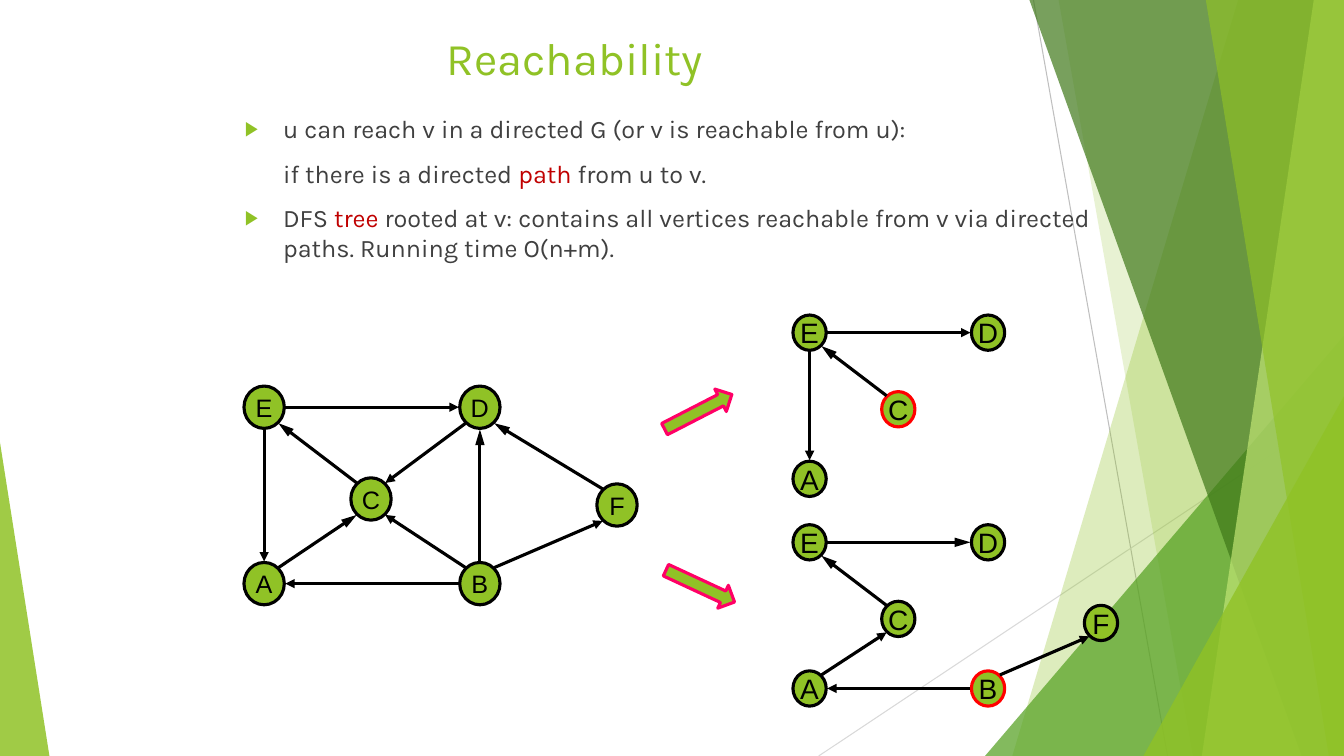
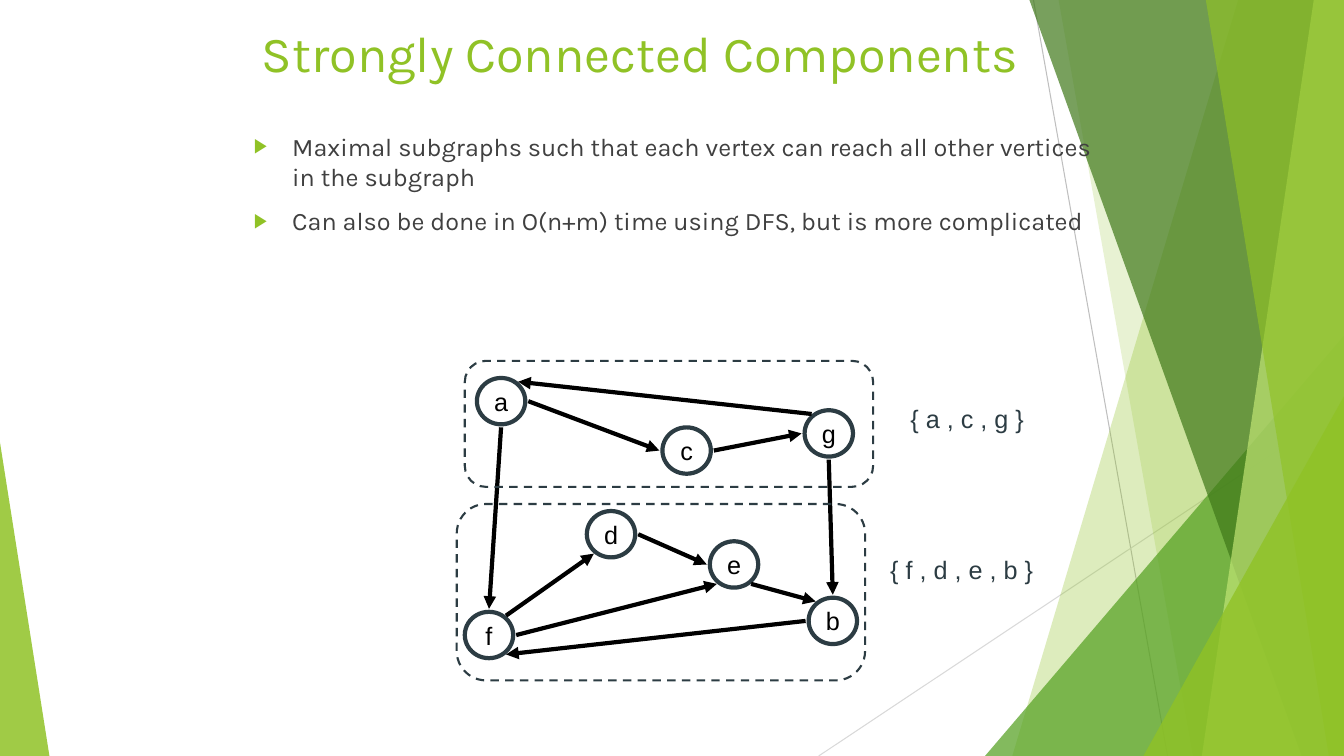
from itertools import chain

from lxml import etree
from pptx import Presentation
from pptx.dml.color import RGBColor
from pptx.enum.dml import MSO_LINE as Dash
from pptx.enum.shapes import MSO_CONNECTOR as Link, MSO_SHAPE as Preset
from pptx.enum.text import MSO_ANCHOR as Anchor, PP_ALIGN as Align
from pptx.oxml.ns import qn
from pptx.util import Emu, Pt

# Shared measures, colours and fonts
PX = 9144  # 100 px to the inch
WIDTH, HEIGHT = 1333, 750
GREEN, MID_GREEN, DARK_GREEN, PALE_GREEN = "90C226", "54A021", "3F7819", "C0E474"
BLACK, WHITE, SLATE, BODY_GREY = "000000", "FFFFFF", "2C3C43", "404040"
RED, TERM_RED, PINK = "FF0000", "C00000", "FF0066"
HEADING_FONT, LABEL_FONT = "Karla", "Arial"
BULLET, MARK = "▶", "*"
HANG = 38
DIAGONAL = 0.707


def px(length):
    return Emu(round(length * PX))


def rgb(color):
    return RGBColor.from_string(color)


def add_child(parent, tag, **attributes):
    return etree.SubElement(parent, qn(tag), attributes)


# Text
def set_bullet(para, shown):
    properties = para._p.get_or_add_pPr()
    properties.set("marL", str(px(HANG)))
    properties.set("indent", str(-px(HANG) if shown else 0))
    if shown:
        add_child(add_child(properties, "a:buClr"), "a:srgbClr", val=GREEN)
        add_child(properties, "a:buSzPct", val="80000")
        add_child(properties, "a:buFont", typeface=LABEL_FONT)
        add_child(properties, "a:buChar", char=BULLET)
    else:
        add_child(properties, "a:buNone")


def write_text(shape, text, size=18, font=LABEL_FONT, color=BLACK,
               align=Align.LEFT, anchor=Anchor.TOP, wrap=False,
               inset=None, listed=False):
    """Write one paragraph a line; words between marks turn red."""
    frame = shape.text_frame
    frame.word_wrap = wrap
    frame.vertical_anchor = anchor
    if inset is not None:
        frame.margin_left = frame.margin_right = px(inset)
        frame.margin_top = frame.margin_bottom = px(inset)
    for number, line in enumerate(text.split("\n")):
        para = frame.add_paragraph() if number else frame.paragraphs[0]
        para.alignment = align
        if listed:
            set_bullet(para, line.startswith(BULLET))
            line = line.removeprefix(BULLET)
        if number:
            para.space_before = Pt(10)
        for part, words in enumerate(line.split(MARK)):
            span = para.add_run()
            span.text = words
            span.font.size = Pt(size)
            span.font.name = font
            span.font.color.rgb = rgb(TERM_RED if part % 2 else color)


def add_text(page, area, text, **style):
    box = page.shapes.add_textbox(*map(px, area))
    write_text(box, text, **style)


def add_title(page, area, text, size):
    add_text(page, area, text, size=size, font=HEADING_FONT, color=GREEN, wrap=True)


def add_body(page, area, *lines):
    add_text(page, area, "\n".join(lines), font=HEADING_FONT,
             color=BODY_GREY, wrap=True, listed=True)


# Shapes and lines
def paint(shape, fill=None, line=None, weight=1, alpha=None):
    shape.shadow.inherit = False
    if fill:
        shape.fill.solid()
        shape.fill.fore_color.rgb = rgb(fill)
        if alpha:
            tint = next(shape.element.iter(qn("a:srgbClr")))
            add_child(tint, "a:alpha", val=str(alpha * 1000))
    else:
        shape.fill.background()
    if line:
        shape.line.color.rgb = rgb(line)
        shape.line.width = Pt(weight)
    else:
        shape.line.fill.background()


def add_preset(page, preset, area, **look):
    shape = page.shapes.add_shape(preset, *map(px, area))
    paint(shape, **look)
    return shape


def add_line(page, start, end, color=BLACK, weight=1, arrow=None):
    line = page.shapes.add_connector(Link.STRAIGHT, *map(px, chain(start, end)))
    line.line.color.rgb = rgb(color)
    line.line.width = Pt(weight)
    if arrow:
        outline = line.line._get_or_add_ln()
        add_child(outline, "a:tailEnd", type="triangle", len=arrow)
    add_child(line.element.spPr, "a:effectLst")


# Graphs
def edge_end(center, size, site, gap):
    """Point just outside a vertex at a compass site such as n or se."""
    x = ("e" in site) - ("w" in site)
    y = ("s" in site) - ("n" in site)
    reach = DIAGONAL if x and y else 1
    return (center[0] + x * (size[0] / 2 * reach + (0 if y else gap)),
            center[1] + y * (size[1] / 2 * reach + gap))


def add_graph(page, centers, edges, size, root=None, fill=GREEN, line=BLACK,
              weight=2.25, font_size=18, gap=1):
    """Edges read like "Ee Dw": from E's east side to D's west side."""
    for name, (x, y) in centers.items():
        area = (x - size[0] / 2, y - size[1] / 2, *size)
        vertex = add_preset(page, Preset.OVAL, area, fill=fill,
                            line=RED if name == root else line, weight=weight)
        write_text(vertex, name, size=font_size, align=Align.CENTER,
                   anchor=Anchor.MIDDLE, inset=0)
    for edge in edges:
        source, target, *arrow = edge.split()
        start, end = (edge_end(centers[mark[0]], size, mark[1:], gap)
                      for mark in (source, target))
        add_line(page, start, end, weight=weight, arrow=arrow[0] if arrow else "med")


# Background shared through the layout
def add_facet(page, top_x, bottom_x, fill, alpha):
    builder = page.shapes.build_freeform(top_x, 0, PX)
    builder.add_line_segments([(WIDTH, 0), (WIDTH, HEIGHT), (bottom_x, HEIGHT)])
    paint(builder.convert_to_shape(), fill=fill, alpha=alpha)


def add_triangle(page, left, top, width, apex, fill, alpha):
    shape = add_preset(page, Preset.ISOSCELES_TRIANGLE,
                       (left, top, width, HEIGHT - top), fill=fill, alpha=alpha)
    shape.adjustments[0] = apex


def decorate_layout(page):
    """Draw the facets and move them to the layout of the page."""
    add_line(page, (1025, 0), (1158, HEIGHT), "BFBFBF", 0.75)
    add_line(page, (WIDTH, 403), (812, HEIGHT), "D9D9D9", 0.75)
    add_facet(page, 1228, 1004, GREEN, 30)
    add_facet(page, 1050, 1183, GREEN, 20)
    add_triangle(page, 977, 333, 356, 1, MID_GREEN, 72)
    add_facet(page, 1021, 1291, DARK_GREEN, 70)
    add_facet(page, 1303, 1192, PALE_GREEN, 70)
    add_facet(page, 1196, 1318, GREEN, 65)
    add_triangle(page, 1134, 393, 199, 1, GREEN, 80)
    add_triangle(page, 0, 439, 49, 0, GREEN, 85)
    for shape in list(page.shapes):
        page.slide_layout.shapes.element.append(shape.element)


# Slides
def fill_reachability(page):
    add_title(page, (433, 25, 520, 58), "Reachability", 32.4)
    add_body(page, (233, 108, 900, 183),
             "▶u can reach v in a directed G (or v is reachable from u):",
             "if there is a directed *path* from u to v.",
             "▶DFS *tree* rooted at v: contains all vertices reachable from v "
             "via directed paths. Running time O(n+m).")
    # Whole graph
    add_graph(page,
              {"A": (262, 579), "B": (476, 579), "C": (368, 495),
               "D": (476, 404), "E": (262, 404), "F": (612, 501)},
              ["Fnw Dse lg", "Bw Ae", "Cnw Ese lg", "Ee Dw", "Bn Ds lg",
               "Ane Csw lg", "Dsw Cne", "Es An", "Bne Fsw", "Bnw Cse"],
              size=(40, 42))
    # Trees rooted at C and at B
    tree_style = {"size": (33, 35), "font_size": 20}
    square = {"A": (803, 475), "C": (891, 406), "D": (980, 330), "E": (803, 330)}
    add_graph(page, square, ["Cnw Ese lg", "Ee Dw", "Es An"],
              root="C", **tree_style)
    lower = {name: (x, y + 208) for name, (x, y) in square.items()}
    lower |= {"B": (980, 683), "F": (1092, 618)}
    add_graph(page, lower,
              ["Bw Ae", "Cnw Ese lg", "Ee Dw lg", "Bne Fsw", "Ane Csw"],
              root="B", **tree_style)
    # Arrows from the graph to its trees
    for left, top, angle in ((655, 396, 332.8), (657, 569, 24.9)):
        arrow = add_preset(page, Preset.RIGHT_ARROW, (left, top, 75, 25),
                           fill=GREEN, line=PINK, weight=2.25)
        arrow.rotation = angle


def fill_components(page):
    add_title(page, (250, 17, 809, 100), "Strongly Connected Components", 36)
    add_body(page, (242, 125, 851, 200),
             "▶Maximal subgraphs such that each vertex can reach all other "
             "vertices in the subgraph",
             "▶Can also be done in O(n+m) time using DFS, but is more complicated")
    add_graph(page,
              {"a": (497, 398), "b": (826, 616), "c": (681, 447), "d": (606, 530),
               "e": (728, 560), "f": (485, 630), "g": (822, 430)},
              ["as fn", "ae cw", "gnw ane", "ce gw", "gs bn", "de ew",
               "ese bnw", "fne dsw", "fe esw", "bw fse"],
              size=(48, 46), fill=WHITE, line=SLATE, weight=3, gap=3)
    # Component frames with their vertex sets
    for frame_area, label_area, members in (
            ((461, 358, 405, 125), (903, 400, 114, 30), "{ a , c , g }"),
            ((453, 500, 405, 175), (883, 550, 143, 30), "{ f , d , e , b }")):
        frame = add_preset(page, Preset.ROUNDED_RECTANGLE, frame_area,
                           line=SLATE, weight=1.5)
        frame.line.dash_style = Dash.DASH
        add_text(page, label_area, members, color=SLATE, inset=0)


def main():
    deck = Presentation()
    deck.slide_width, deck.slide_height = px(WIDTH), px(HEIGHT)
    blank = deck.slide_layouts[6]
    first, second = (deck.slides.add_slide(blank) for _ in range(2))
    decorate_layout(first)
    fill_reachability(first)
    fill_components(second)
    deck.save("out.pptx")


if __name__ == "__main__":
    main()
